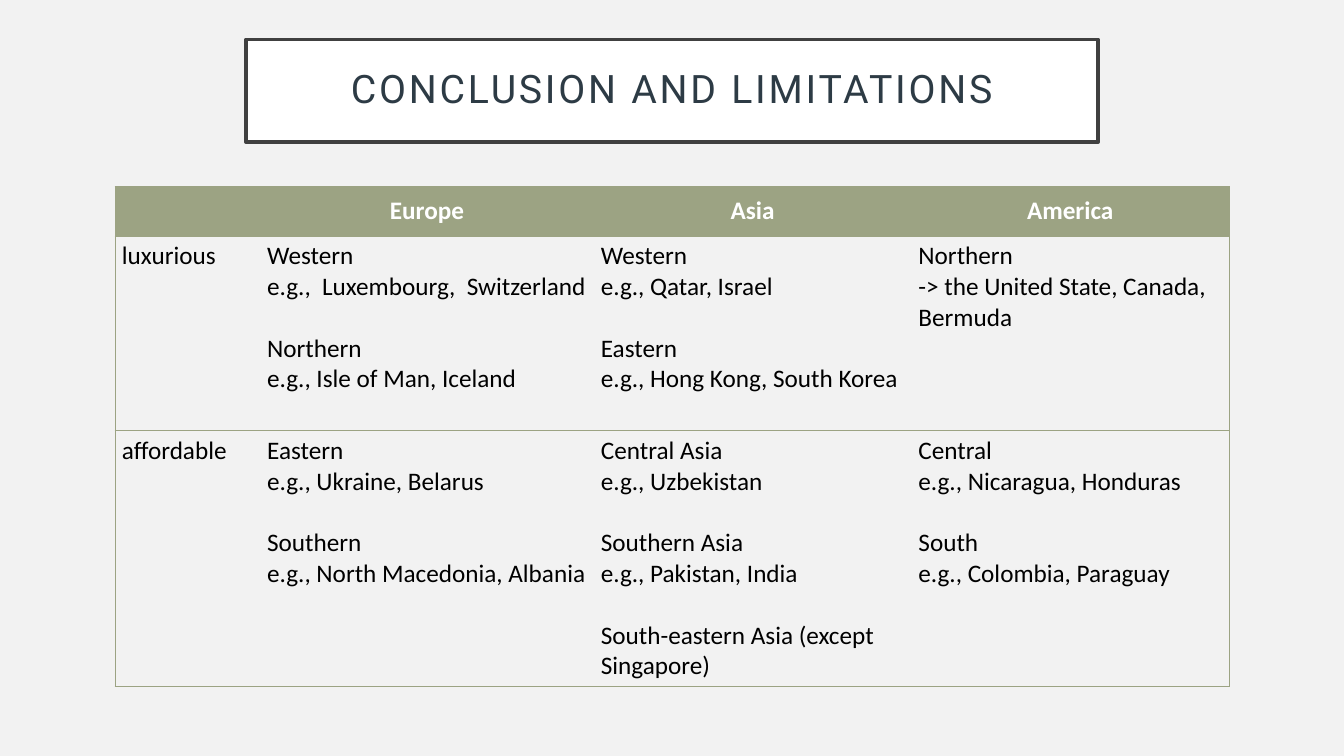
"""Build the conclusion slide: a framed title above a table of regions by cost."""
import pptx
import pptx.dml.color
import pptx.enum.shapes
import pptx.enum.text
import pptx.oxml
import pptx.oxml.ns
import pptx.util

Inches = pptx.util.Inches
Pt = pptx.util.Pt
Color = pptx.dml.color.RGBColor.from_string
Align = pptx.enum.text.PP_ALIGN
Anchor = pptx.enum.text.MSO_ANCHOR

COLORS = {
    "page": "F2F2F2",
    "white": "FFFFFF",
    "frame": "404040",
    "title": "2D3B45",
    "sage": "9CA383",
    "black": "000000",
}


def write(para, text, font="Calibri", size=18, color="black", bold=False, align=Align.LEFT):
    span = para.add_run()
    span.text = text
    span.font.name = font
    span.font.size = Pt(size)
    span.font.bold = bold
    span.font.color.rgb = Color(COLORS[color])
    para.alignment = align
    return span


def set_border(cell, side, visible):
    paint = f'<a:solidFill><a:srgbClr val="{COLORS["sage"]}"/></a:solidFill>' if visible else "<a:noFill/>"
    cell._tc.get_or_add_tcPr().append(pptx.oxml.parse_xml(
        f'<a:ln{side} {pptx.oxml.ns.nsdecls("a")} w="{Pt(0.5)}">{paint}</a:ln{side}>'))


deck = pptx.Presentation()
deck.slide_width = Inches(13.33)
deck.slide_height = Inches(7.5)
page = deck.slides.add_slide(deck.slide_layouts[6])
page.background.fill.solid()
page.background.fill.fore_color.rgb = Color(COLORS["page"])

box = page.shapes.add_shape(
    pptx.enum.shapes.MSO_SHAPE.RECTANGLE, Inches(2.44), Inches(0.39), Inches(8.45), Inches(1.02))
box.shadow.inherit = False
box.fill.solid()
box.fill.fore_color.rgb = Color(COLORS["white"])
box.line.color.rgb = Color(COLORS["frame"])
box.line.width = Pt(2.5)
frame = box.text_frame
frame.word_wrap = True
frame.vertical_anchor = Anchor.MIDDLE
frame.margin_left = frame.margin_right = frame.margin_top = frame.margin_bottom = Inches(0.2)
heading = frame.paragraphs[0]
heading.line_spacing = 0.9
span = write(heading, "CONCLUSION AND LIMITATIONS", font="Roboto", size=28, color="title", align=Align.CENTER)
span.font._element.set("spc", "200")

# Each cell holds groups of lines; a gap separates the groups.
rows = [
    [[], [["Europe"]], [["Asia"]], [["America"]]],
    [
        [["luxurious"]],
        [["Western", "e.g.,  Luxembourg,  Switzerland"], ["Northern", "e.g., Isle of Man, Iceland"]],
        [["Western", "e.g., Qatar, Israel"], ["Eastern", "e.g., Hong Kong, South Korea"]],
        [["Northern", "-> the United State, Canada,", "Bermuda"]],
    ],
    [
        [["affordable"]],
        [["Eastern", "e.g., Ukraine, Belarus"], ["Southern", "e.g., North Macedonia, Albania"]],
        [["Central Asia", "e.g., Uzbekistan"], ["Southern Asia", "e.g., Pakistan, India"],
         ["South-eastern Asia (except Singapore)"]],
        [["Central", "e.g., Nicaragua, Honduras"], ["South", "e.g., Colombia, Paraguay"]],
    ],
]
column_widths = [1.44, 3.31, 3.15, 3.15]
row_heights = [0.49, 1.93, 2.54]

table = page.shapes.add_table(
    len(rows), len(column_widths), Inches(1.14), Inches(1.85),
    Inches(sum(column_widths)), Inches(sum(row_heights))).table
table.first_row = False
table.horz_banding = False
for column, width in zip(table.columns, column_widths):
    column.width = Inches(width)
for row, height in zip(table.rows, row_heights):
    row.height = Inches(height)

last_column = len(column_widths) - 1
for row_index, row in enumerate(rows):
    is_header = row_index == 0
    for column_index, groups in enumerate(row):
        cell = table.cell(row_index, column_index)
        cell.margin_left = cell.margin_right = Inches(0.07)
        cell.margin_top = cell.margin_bottom = Inches(0.05)
        cell.vertical_anchor = Anchor.MIDDLE if is_header else Anchor.TOP
        edges = {"L": column_index == 0, "R": column_index == last_column, "T": True, "B": True}
        for side, visible in edges.items():
            set_border(cell, side, visible)
        if is_header:
            cell.fill.solid()
            cell.fill.fore_color.rgb = Color(COLORS["sage"])
        else:
            cell.fill.background()
        for group_index, group in enumerate(groups):
            for line_index, line in enumerate(group):
                is_first = group_index == line_index == 0
                para = cell.text_frame.paragraphs[0] if is_first else cell.text_frame.add_paragraph()
                if group_index and line_index == 0:
                    para.space_before = Pt(22)
                write(para, line, color="white" if is_header else "black", bold=is_header,
                      align=Align.CENTER if is_header else Align.LEFT)

deck.save("out.pptx")
